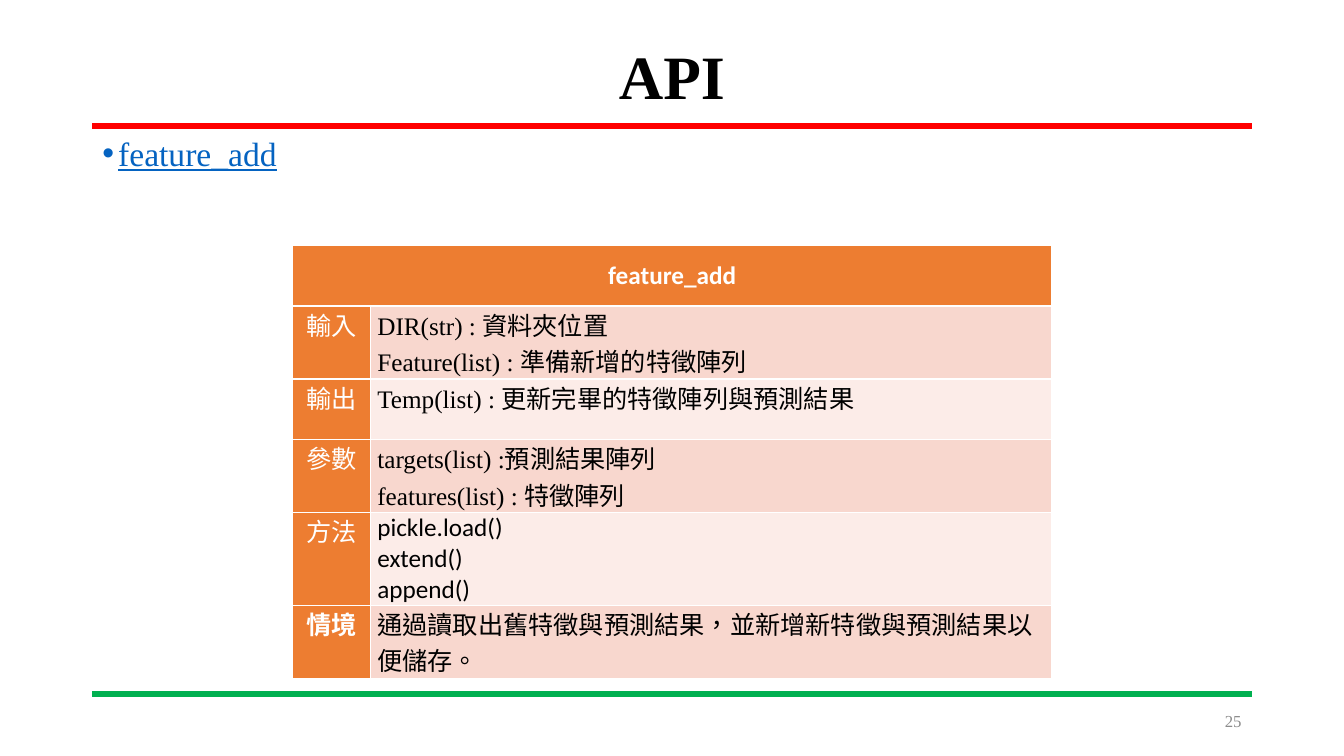
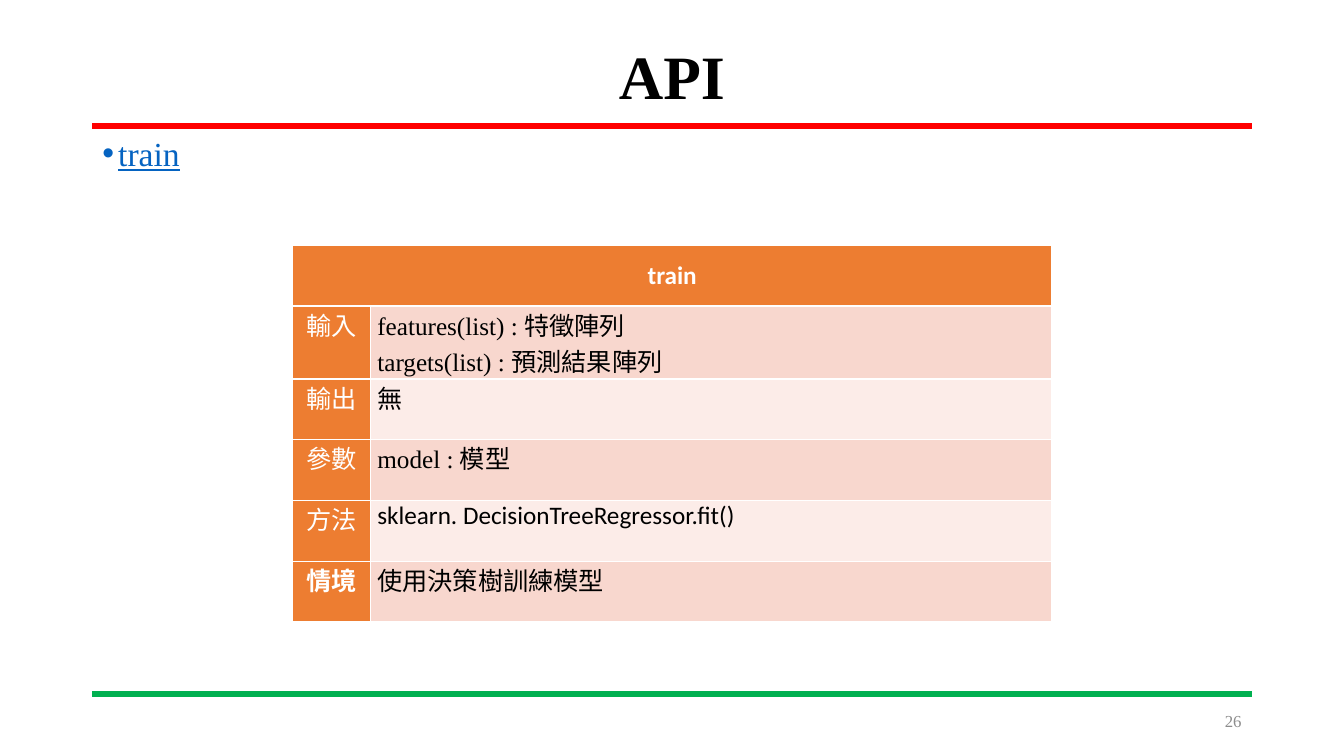
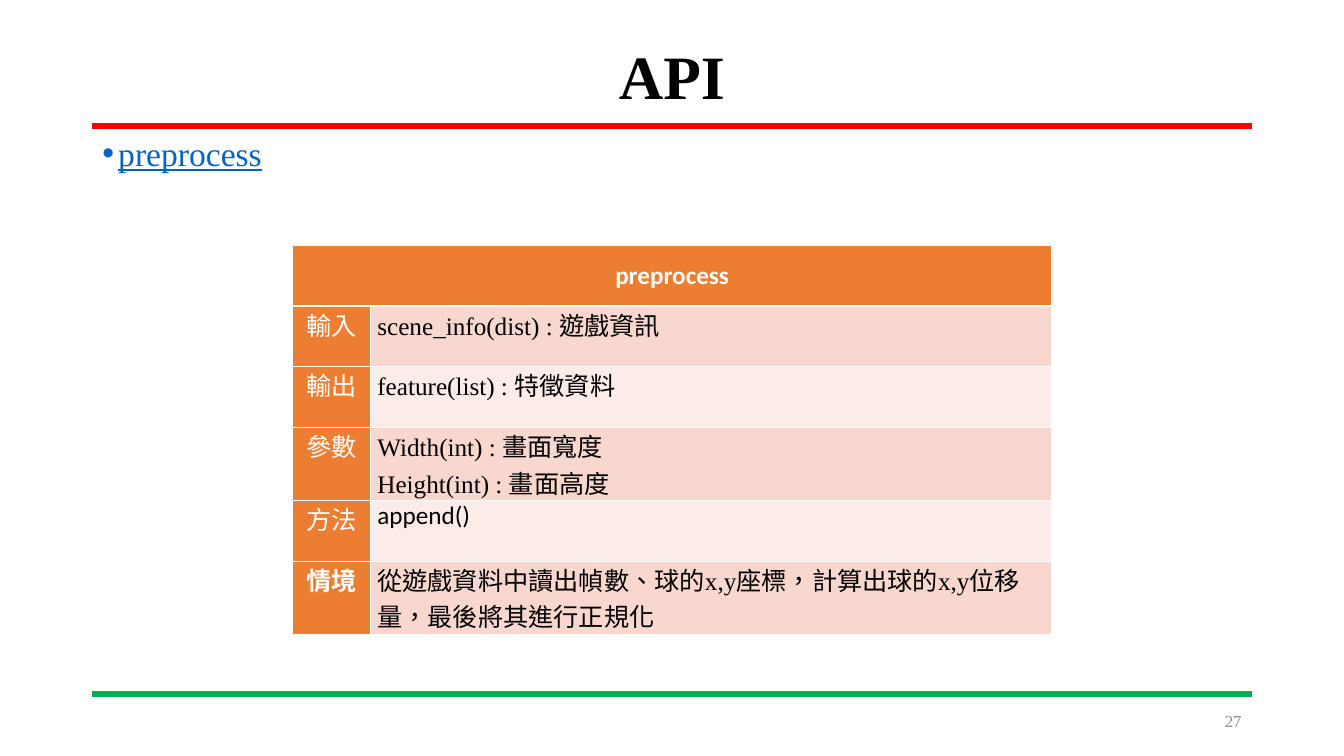
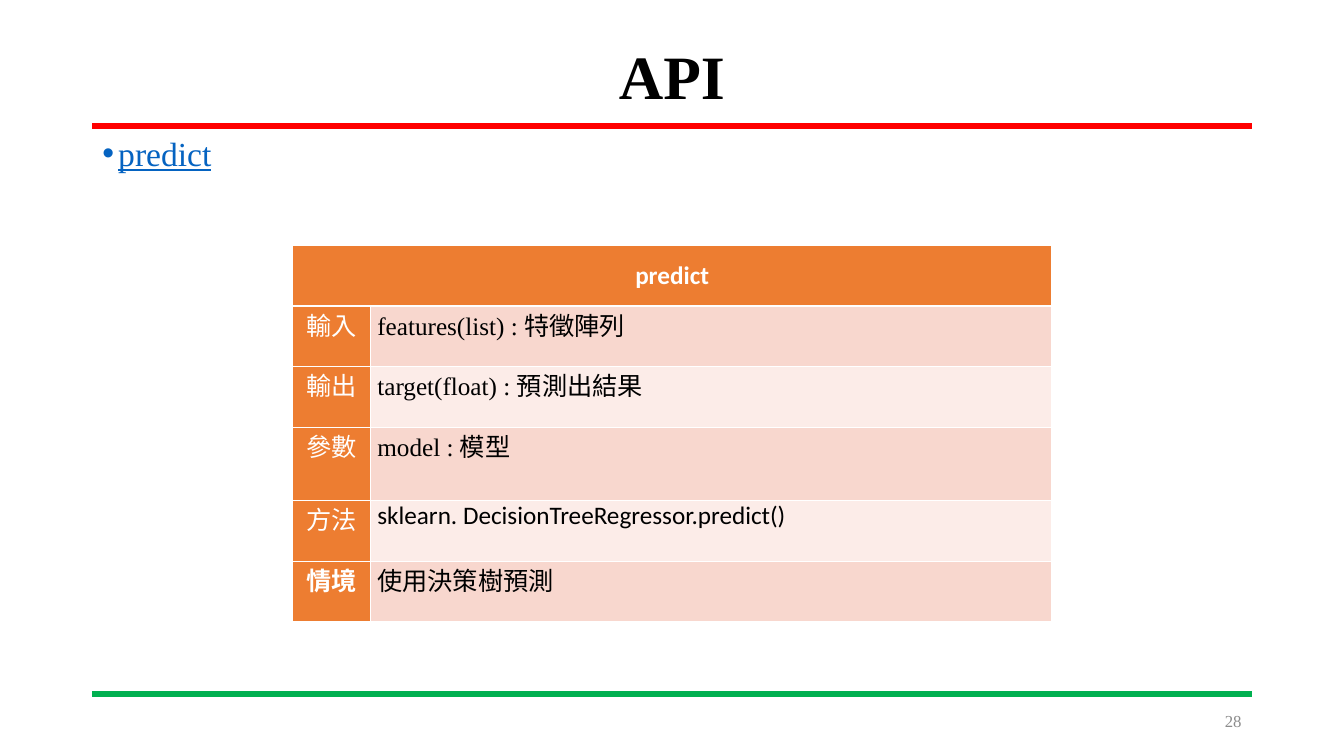
import dataclasses
import pptx
import pptx.dml.color
import pptx.enum.shapes
import pptx.enum.text
import pptx.oxml
import pptx.oxml.ns
import pptx.util
from lxml import etree

Cm = pptx.util.Cm
Pt = pptx.util.Pt
ALIGN = pptx.enum.text.PP_ALIGN
ANCHOR = pptx.enum.text.MSO_ANCHOR
qn = pptx.oxml.ns.qn


@dataclasses.dataclass(frozen=True)
class Theme:
    # Colours
    top_rule: str = "FF0000"
    bottom_rule: str = "00B050"
    accent: str = "ED7D31"
    bands: tuple = ("F8D7CE", "FCECE8")
    white: str = "FFFFFF"
    text: str = "000000"
    link: str = "0563C1"
    number: str = "8C8C8C"
    # Fonts and type sizes
    serif: str = "Times New Roman"
    sans: str = "Calibri"
    cjk: str = "Noto Sans CJK SC"
    language: str = "zh-TW"
    title_pt: int = 44
    topic_pt: int = 24
    table_pt: int = 18
    number_pt: int = 12
    # Shared layout, in cm; row heights for one, two and three lines
    left: float = 2.33
    width: float = 29.21
    row_heights: tuple = (1.53, 1.84, 2.33)


LABELS = ("輸入", "輸出", "參數", "方法", "情境")


class Deck:
    def __init__(self, theme):
        self.t = theme
        self.prs = pptx.Presentation()
        self.prs.slide_width = Cm(33.87)
        self.prs.slide_height = Cm(19.05)
        self.slide = None

    def run(self, p, text, size, font, color, bold=False, underline=None):
        r = p.add_run()
        r.text = text
        r.font.size = Pt(size)
        r.font.name = font
        r.font.bold = bold
        r.font.underline = underline
        r.font.color.rgb = pptx.dml.color.RGBColor.from_string(color)
        # Traditional Chinese punctuation and East Asian typeface
        rPr = r.font._element
        rPr.set("lang", self.t.language)
        ea = etree.Element(qn("a:ea"), typeface=self.t.cjk)
        rPr.find(qn("a:latin")).addnext(ea)

    def rule(self, y, color):
        t = self.t
        line = self.slide.shapes.add_connector(
            pptx.enum.shapes.MSO_CONNECTOR.STRAIGHT,
            Cm(t.left), Cm(y), Cm(t.left + t.width), Cm(y))
        line.line.color.rgb = pptx.dml.color.RGBColor.from_string(color)
        line.line.width = Pt(4.5)
        etree.SubElement(line._element.spPr, qn("a:effectLst"))

    def box(self, x, y, w, h, align, anchor):
        sp = self.slide.shapes.add_textbox(Cm(x), Cm(y), Cm(w), Cm(h))
        tf = sp.text_frame
        tf.word_wrap = True
        tf.vertical_anchor = anchor
        p = tf.paragraphs[0]
        p.alignment = align
        return p

    def new_slide(self, title, number):
        t = self.t
        self.slide = self.prs.slides.add_slide(self.prs.slide_layouts[6])
        self.rule(3.18, t.top_rule)
        self.rule(17.49, t.bottom_rule)
        p = self.box(t.left, 1, t.width, 2, ALIGN.CENTER, ANCHOR.MIDDLE)
        p.line_spacing = 0.9
        self.run(p, title, t.title_pt, t.serif, t.text, bold=True)
        p = self.box(23.92, 17.65, 7.62, 1.01, ALIGN.RIGHT, ANCHOR.MIDDLE)
        self.run(p, str(number), t.number_pt, t.serif, t.number)

    def topic(self, text):
        t = self.t
        p = self.box(t.left, 3.33, t.width, 14, ALIGN.LEFT, ANCHOR.TOP)
        p.line_spacing = 0.9
        pPr = p._p.get_or_add_pPr()
        pPr.set("marL", str(Cm(0.4)))
        pPr.set("indent", str(-Cm(0.4)))
        etree.SubElement(pPr, qn("a:buFont"), typeface="Arial")
        etree.SubElement(pPr, qn("a:buChar"), char="•")
        self.run(p, text, t.topic_pt, t.serif, t.link, underline=True)

    def cell(self, cell, lines, fill, font, color, align=ALIGN.LEFT,
             bold=False):
        """Fill one cell; a bar in a line starts a run in the CJK font."""
        tcPr = cell._tc.get_or_add_tcPr()
        for side in "LRTB":
            ln = etree.SubElement(tcPr, qn("a:ln" + side), w=str(Pt(1)))
            solid = etree.SubElement(ln, qn("a:solidFill"))
            etree.SubElement(solid, qn("a:srgbClr"), val=self.t.white)
        cell.fill.solid()
        cell.fill.fore_color.rgb = pptx.dml.color.RGBColor.from_string(fill)
        cell.margin_left = cell.margin_right = Cm(0.18)
        cell.margin_top = cell.margin_bottom = 0
        tf = cell.text_frame
        for i, line in enumerate(lines):
            p = tf.add_paragraph() if i else tf.paragraphs[0]
            p.alignment = align
            for j, part in enumerate(line.split("|")):
                self.run(p, part, self.t.table_pt, self.t.cjk if j else font,
                         color, bold)

    def api_table(self, name, rows, line_counts):
        t = self.t
        heights = [t.row_heights[n - 1] for n in (1, *line_counts)]
        table = self.slide.shapes.add_table(
            len(heights), 2, Cm(7.37), Cm(6.18), Cm(19.14),
            Cm(sum(heights))).table
        table.first_row = table.horz_banding = False
        for column, width in zip(table.columns, (1.96, 17.18)):
            column.width = Cm(width)
        for row, height in zip(table.rows, heights):
            row.height = Cm(height)

        # Header across both columns
        head = table.cell(0, 0)
        head.merge(table.cell(0, 1))
        head.vertical_anchor = ANCHOR.MIDDLE
        self.cell(head, [name], t.accent, t.sans, t.white, ALIGN.CENTER,
                  bold=True)

        # Label and description in each row
        for i, (label, lines) in enumerate(zip(LABELS, rows)):
            self.cell(table.cell(i + 1, 0), [label], t.accent, t.cjk, t.white,
                      ALIGN.CENTER, bold=label == "情境")
            font = t.sans if label == "方法" else t.serif
            self.cell(table.cell(i + 1, 1), lines, t.bands[i % 2], font, t.text)


# Function name, row texts in label order, lines of room in each row
APIS = [
    ("feature_add", [
        ["DIR(str) : 資料夾位置", "Feature(list) : 準備新增的特徵陣列"],
        ["Temp(list) : 更新完畢的特徵陣列與預測結果"],
        ["targets(list) :預測結果陣列", "features(list) : |特徵陣列"],
        ["pickle.load()", "extend()", "append()"],
        ["通過讀取出舊特徵與預測結果，並新增新特徵與預測結果以便儲存。"],
    ], (2, 1, 2, 3, 2)),
    ("train", [
        ["features(list) : 特徵陣列", "targets(list) : 預測結果陣列"],
        ["無"],
        ["model : |模型"],
        ["sklearn. DecisionTreeRegressor.fit()"],
        ["使用決策樹訓練模型"],
    ], (2, 1, 1, 1, 1)),
    ("preprocess", [
        ["scene_info(dist) : |遊戲資訊"],
        ["feature(list) : 特徵資料"],
        ["Width(int) : 畫面寬度", "Height(int) : 畫面高度"],
        ["append()"],
        ["從遊戲資料中讀出幀數、球的x,y座標，計算出球的x,y位移量，最後將其進行正規化"],
    ], (1, 1, 2, 1, 2)),
    ("predict", [
        ["features(list) : 特徵陣列"],
        ["target(float) : 預測出結果"],
        ["model : |模型"],
        ["sklearn. DecisionTreeRegressor.predict()"],
        ["使用決策樹預測"],
    ], (1, 1, 2, 1, 1)),
]


def main():
    deck = Deck(Theme())
    for number, (name, rows, line_counts) in enumerate(APIS, start=25):
        deck.new_slide("API", number)
        deck.api_table(name, rows, line_counts)
        deck.topic(name)
    deck.prs.save("out.pptx")


if __name__ == "__main__":
    main()
